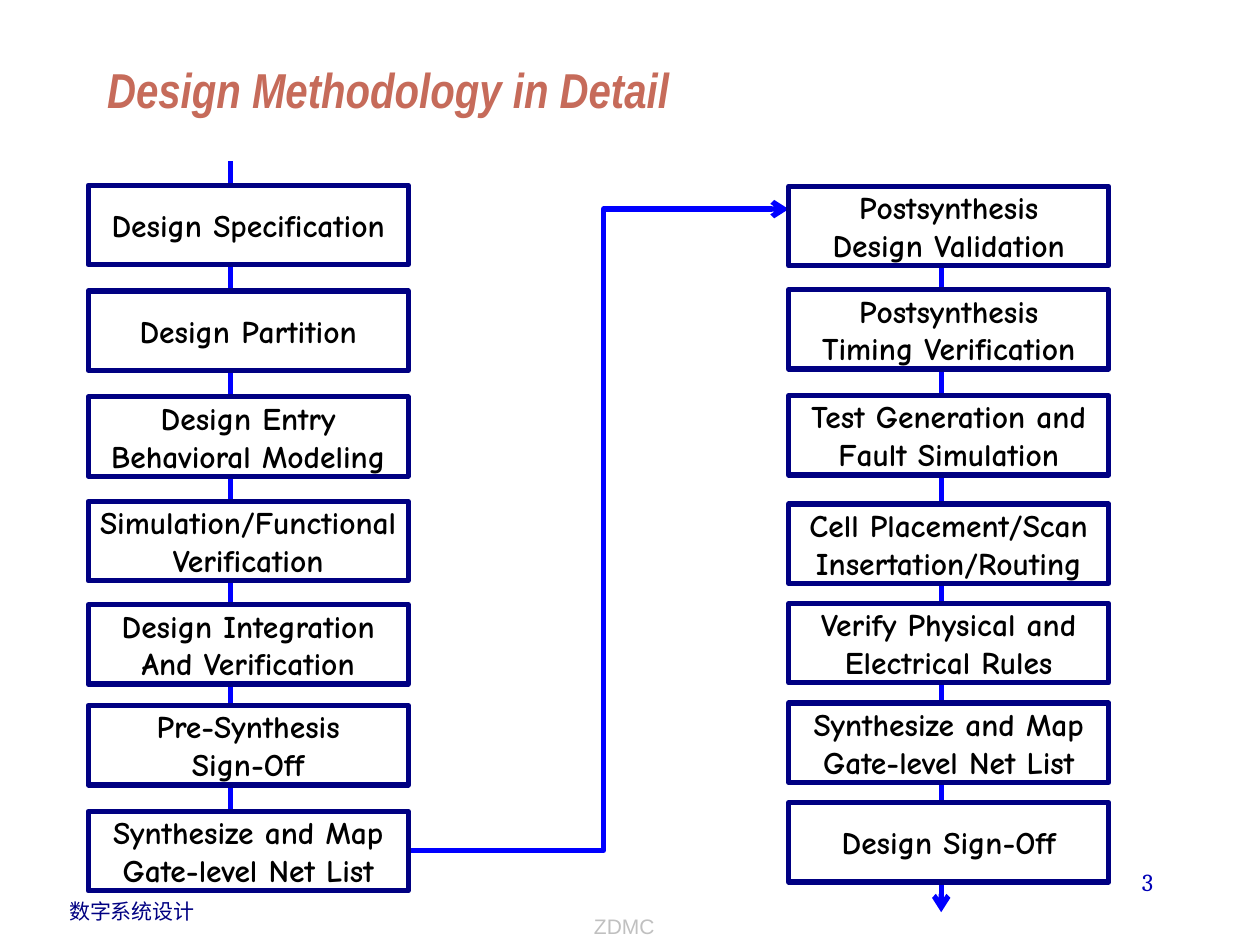
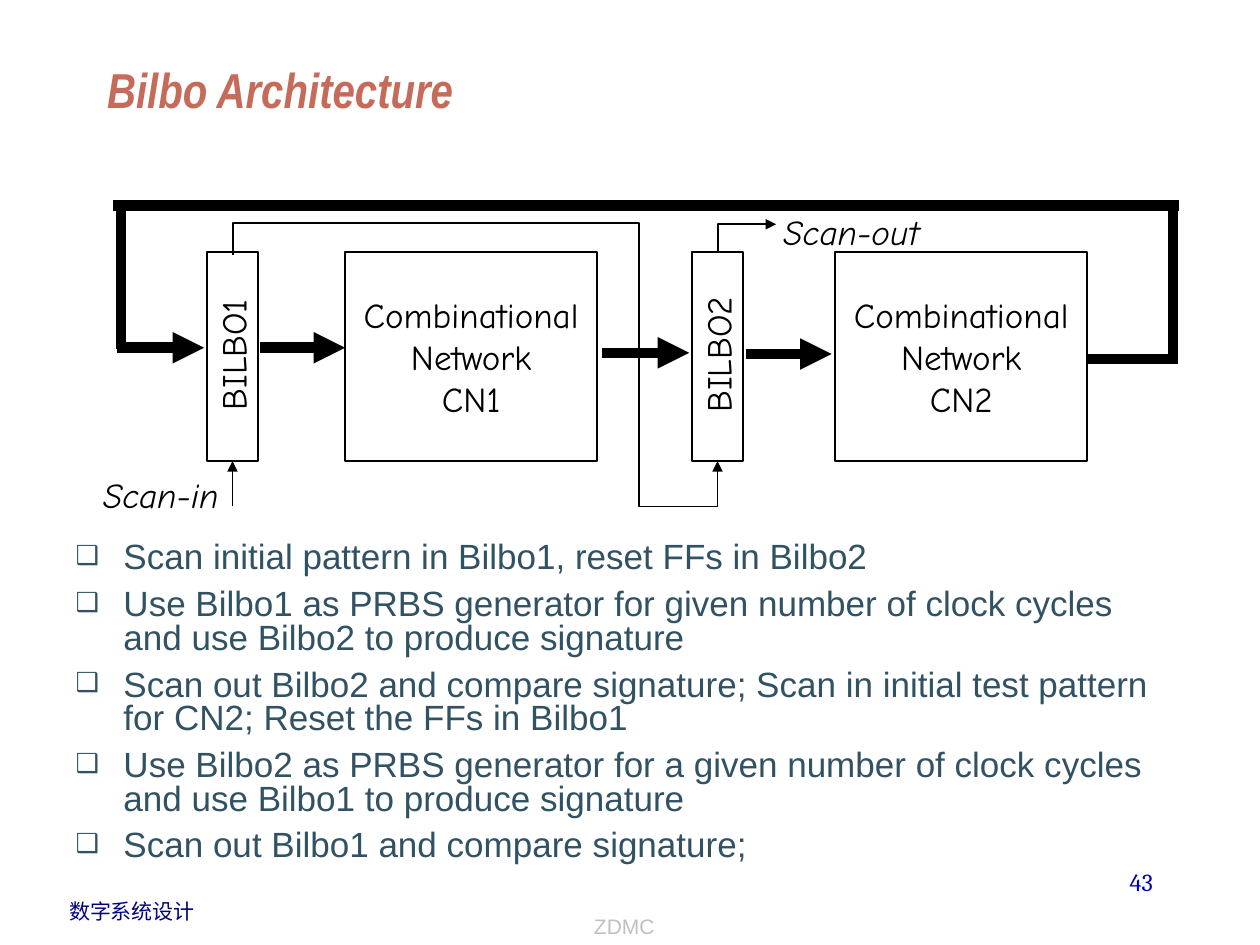
import lxml.etree
import pptx
import pptx.dml.color
import pptx.enum.shapes
import pptx.enum.text
import pptx.oxml.ns
import pptx.util

Inches, Pt = pptx.util.Inches, pptx.util.Pt
ALIGN = pptx.enum.text.PP_ALIGN
ANCHOR = pptx.enum.text.MSO_ANCHOR
SIZE = pptx.enum.text.MSO_AUTO_SIZE
RECT = pptx.enum.shapes.MSO_SHAPE.RECTANGLE
LINE = pptx.enum.shapes.MSO_CONNECTOR.STRAIGHT

COLORS = {"title": "C66B5A", "body": "315263", "brand": "000082", "page": "0000B6",
          "foot": "C0C0C0", "wire": "0000FF", "edge": "000082", "black": "000000",
          "white": "FFFFFF"}
FONTS = {
    "title": {"name": "Arial Narrow", "size": Pt(28), "bold": True, "italic": True},
    "body": {"name": "Arial", "size": Pt(20)},
    "brand": {"name": "Arial", "size": Pt(12)},
    "page": {"name": "Cambria", "size": Pt(14)},
    "foot": {"name": "Arial", "size": Pt(12)},
    "step": {"name": "Comic Neue", "size": Pt(18), "bold": True},
    "block": {"name": "Comic Neue", "size": Pt(20)},
    "scan": {"name": "Comic Neue", "size": Pt(20), "italic": True},
}
LEFT = [(0, "Design Specification"), (0.84, "Design Partition"),
        (1.68, "Design Entry\nBehavioral Modeling"),
        (2.51, "Simulation/Functional\nVerification"),
        (3.33, "Design Integration\nAnd Verification"),
        (4.13, "Pre-Synthesis\nSign-Off"),
        (4.97, "Synthesize and Map\nGate-level Net List")]
RIGHT = [(0, "Postsynthesis\nDesign Validation"),
         (0.82, "Postsynthesis\nTiming Verification"),
         (1.66, "Test Generation and\nFault Simulation"),
         (2.52, "Cell Placement/Scan\nInsertation/Routing"),
         (3.31, "Verify Physical and\nElectrical Rules"),
         (4.1, "Synthesize and Map\nGate-level Net List"),
         (4.89, "Design Sign-Off")]
NOTES = [
    "Scan initial pattern in Bilbo1, reset FFs in Bilbo2",
    "Use Bilbo1 as PRBS generator for given number of clock cycles and use Bilbo2 to "
    "produce signature",
    "Scan out Bilbo2 and compare signature; Scan in initial test pattern for CN2; Reset "
    "the FFs in Bilbo1",
    "Use Bilbo2 as PRBS generator for a given number of clock cycles and use Bilbo1 to "
    "produce signature",
    "Scan out Bilbo1 and compare signature;",
]


def rgb(key):
    """Give the named colour."""
    return pptx.dml.color.RGBColor.from_string(COLORS[key])


def put(item, vals):
    """Set each attribute of item from a dict."""
    for key, val in vals.items():
        setattr(item, key, val)


def add(root, tag, **vals):
    """Append a drawing element to root."""
    node = lxml.etree.SubElement(root, pptx.oxml.ns.qn(tag))
    for key, val in vals.items():
        node.set(key, val)
    return node


def move(shape, box):
    """Place a shape in a box of inches."""
    put(shape, dict(zip(("left", "top", "width", "height"), map(Inches, box))))


def write(shape, text, font, color, align=ALIGN.LEFT, anchor=ANCHOR.TOP, wrap=True):
    """Fill a shape with formatted paragraphs."""
    frame = shape.text_frame
    frame.text = text
    put(frame, {"word_wrap": wrap, "auto_size": SIZE.NONE, "vertical_anchor": anchor})
    for par in frame.paragraphs:
        par.alignment = align
        for run in par.runs:
            put(run.font, FONTS[font])
            run.font.color.rgb = rgb(color)


def label(slide, box, text, font, color, **form):
    """Add a text box."""
    shape = slide.shapes.add_textbox(*map(Inches, box))
    write(shape, text, font, color, **form)
    return shape


def block(slide, box, text, font, edge, width, fill=None):
    """Add an outlined box with centred text."""
    shape = slide.shapes.add_shape(RECT, *map(Inches, box))
    shape.shadow.inherit = False
    if fill:
        shape.fill.solid()
        shape.fill.fore_color.rgb = rgb(fill)
    else:
        shape.fill.background()
    stroke(shape, edge, width)
    if text:
        write(shape, text, font, "black", align=ALIGN.CENTER, anchor=ANCHOR.MIDDLE,
              wrap=False)
    return shape


def stroke(shape, color, width, head=None):
    """Style a line and its arrowhead."""
    shape.line.color.rgb = rgb(color)
    shape.line.width = Pt(width)
    if head:
        add(shape.line._get_or_add_ln(), "a:tailEnd", type=head)


def link(slide, spot, start, end, color, width, head=None):
    """Draw a straight line relative to a spot."""
    ends = [Inches(base + step) for point in (start, end) for base, step in zip(spot, point)]
    line = slide.shapes.add_connector(LINE, *ends)
    stroke(line, color, width, head)
    add(line._element.spPr, "a:effectLst")
    return line


def trace(slide, spot, points, color, width, head=None):
    """Draw a bent line relative to a spot."""
    route = [(Inches(spot[0] + x), Inches(spot[1] + y)) for x, y in points]
    pen = slide.shapes.build_freeform(*route[0])
    pen.add_line_segments(route[1:], close=False)
    shape = pen.convert_to_shape()
    shape.fill.background()
    shape.shadow.inherit = False
    stroke(shape, color, width, head)


def base(deck, layout, title, page):
    """Add a slide with the shared title and footers."""
    slide = deck.slides.add_slide(deck.slide_layouts[layout])
    move(slide.shapes.title, (0.75, 0.25, 8.5, 0.74))
    write(slide.shapes.title, title, "title", "title", anchor=ANCHOR.BOTTOM)
    label(slide, (0.45, 7.08, 1.2, 0.3), "数字系统设计", "brand", "brand", wrap=False)
    label(slide, (7.17, 6.83, 2.08, 0.5), page, "page", "page", align=ALIGN.RIGHT)
    label(slide, (2.52, 6.99, 4.87, 0.51), "ZDMC", "foot", "foot", align=ALIGN.CENTER,
          anchor=ANCHOR.BOTTOM)
    return slide


def column(slide, spot, steps):
    """Stack the step boxes below a spot."""
    left, top = spot
    for drop, text in steps:
        block(slide, (left, top + drop, 2.54, 0.63), text, "step", "edge", 3, "white")


def flow(deck):
    """Build the slide of the design flow."""
    slide = base(deck, 5, "Design Methodology in Detail", "3")
    first, second = (0.7, 1.47), (6.26, 1.48)
    link(slide, second, (1.21, 0.57), (1.21, 5.76), "wire", 3, "arrow")
    bends = [(1.13, -0.19), (1.13, 5.28), (4.09, 5.28), (4.09, 0.19), (5.56, 0.19)]
    trace(slide, first, bends, "wire", 3, "arrow")
    column(slide, first, LEFT)
    column(slide, second, RIGHT)


def network(slide, spot):
    """Draw the scan network from its top left spot."""
    left, top = spot
    for x, text in ((1.84, "CN1"), (5.73, "CN2")):
        block(slide, (left + x, top + 0.4, 2, 1.66), "Combinational\nNetwork\n" + text,
              "block", "black", 1)
    for x, text in ((0.74, "BILBO1"), (4.59, "BILBO2")):
        mid = x + 0.41 / 2
        cell = block(slide, (left + x, top + 0.4, 0.41, 1.66), "", "block", "black", 1)
        name = label(slide, (left + mid - 0.65, top + 1, 1.3, 0.43), text, "block",
                     "black", align=ALIGN.CENTER)
        name.rotation = 270
        scan = link(slide, spot, (mid, 2.42), (mid, 2.06), "black", 1, "triangle")
        scan.end_connect(cell, 2)
    for x, y, end in ((0.03, 1.16, 0.72), (1.16, 1.16, 1.84), (3.88, 1.2, 4.57),
                      (5.02, 1.21, 5.7)):
        link(slide, spot, (x, y), (end, y), "black", 6, "triangle")
    for start, end in (((7.73, 1.25), (8.41, 1.25)), ((8.46, 0.03), (0, 0.03)),
                       ((8.41, 1.29), (8.41, 0.03)), ((0.06, 1.17), (0.06, 0))):
        link(slide, spot, start, end, "black", 6)
    chain = [(0.95, 0.42), (0.95, 0.17), (4.17, 0.17), (4.17, 2.42), (4.8, 2.42)]
    trace(slide, spot, chain, "black", 1)
    trace(slide, spot, [(4.8, 0.4), (4.8, 0.18), (5.26, 0.18)], "black", 1, "triangle")
    for x, y, text in ((-0.18, 2.11, "Scan-in"), (5.22, 0.02, "Scan-out")):
        label(slide, (left + x, top + y, 1.4, 0.43), text, "scan", "black")


def notes(slide, box):
    """Fill the body with the bulleted steps."""
    body = slide.placeholders[1]
    move(body, box)
    write(body, "\n".join(NOTES), "body", "body")
    for rank, par in enumerate(body.text_frame.paragraphs):
        props = par._p.get_or_add_pPr()
        for key, val in {"marL": Inches(0.38), "indent": -Inches(0.38)}.items():
            props.set(key, str(int(val)))
        add(add(props, "a:buClr"), "a:srgbClr", val=COLORS["body"])
        add(props, "a:buSzPct", val="75000")
        add(props, "a:buChar", char="❑")
        put(par, {"line_spacing": 0.8, "space_before": Pt(7.5 if rank else 0)})


def bilbo(deck):
    """Build the slide of the test architecture."""
    slide = base(deck, 1, "Bilbo Architecture", "43")
    notes(slide, (0.5, 4.26, 8.94, 3.02))
    network(slide, (0.9, 1.6))


def main():
    """Build and save the deck."""
    deck = pptx.Presentation()
    put(deck, {"slide_width": Inches(10), "slide_height": Inches(7.5)})
    flow(deck)
    bilbo(deck)
    deck.save("out.pptx")


if __name__ == "__main__":
    main()
